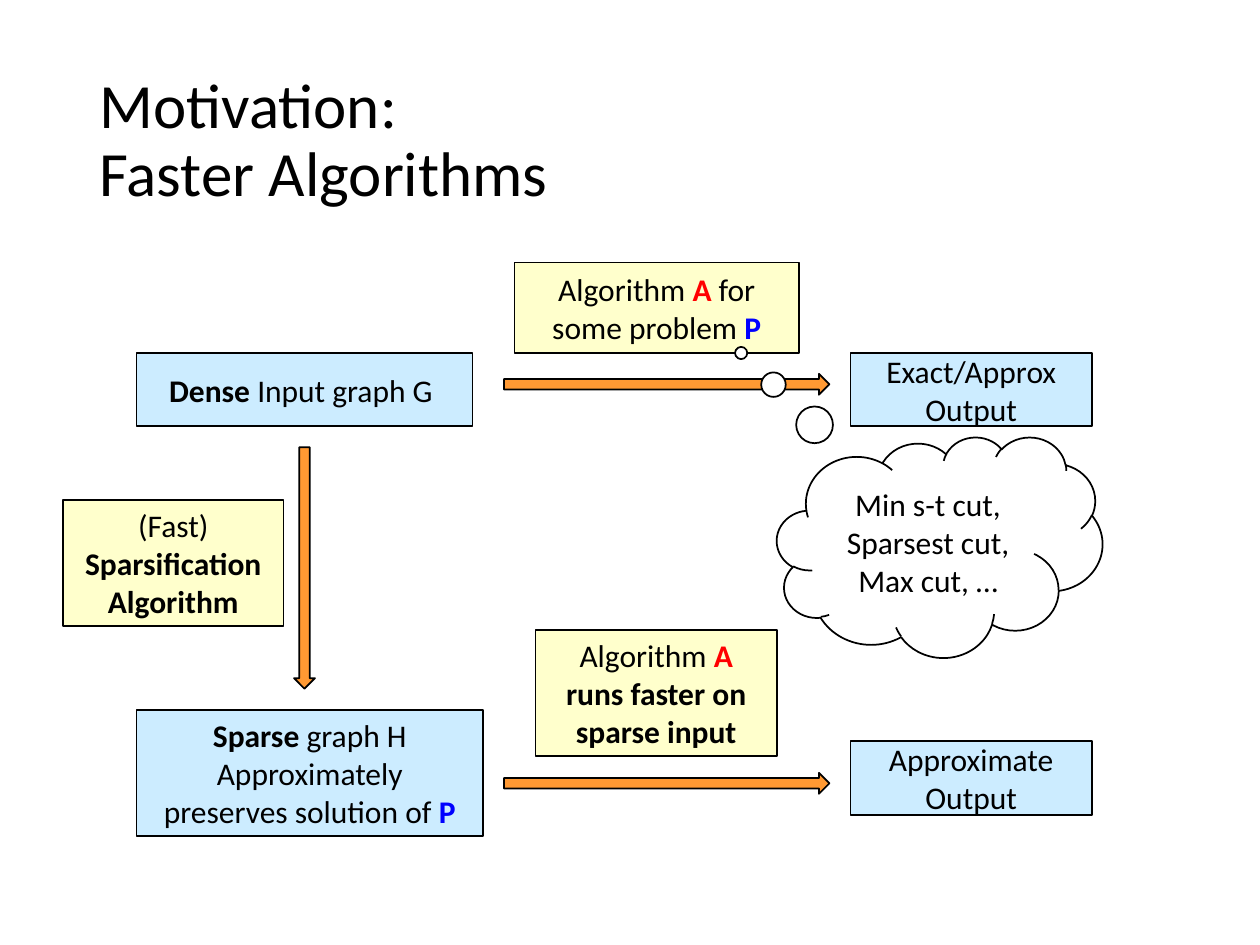
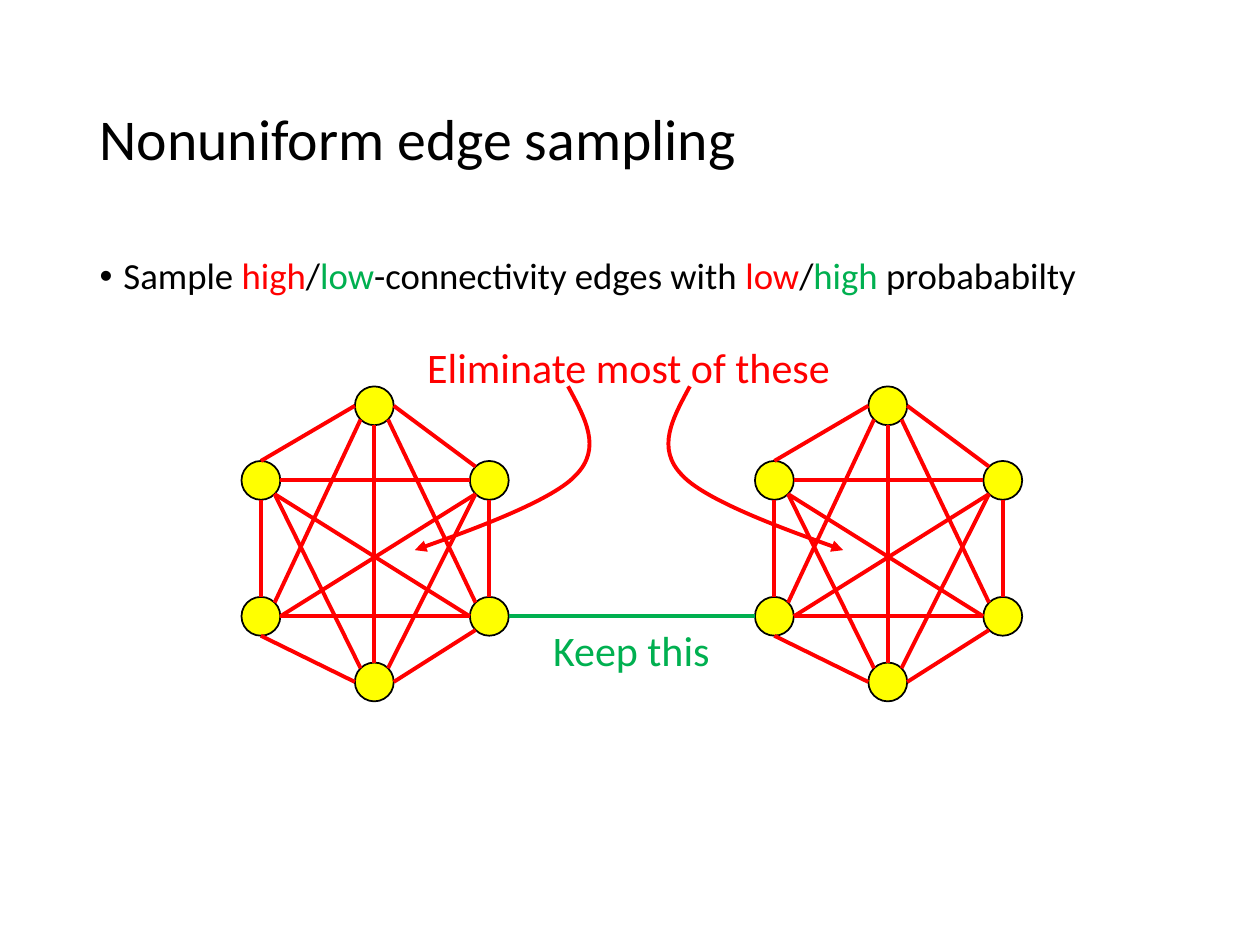
from math import cos, radians, sin

from lxml import etree
from pptx import Presentation
from pptx import util as u
from pptx.dml.color import RGBColor
from pptx.enum import shapes, text
from pptx.oxml.ns import qn

COLS, ROWS = 120, 90
CELL = u.Inches(10) / COLS
FONT = "Calibri"
BLACK, WHITE, RED, BLUE, GREEN = "000000", "FFFFFF", "FF0000", "0000FF", "00B050"
SKY, CREAM, ORANGE, YELLOW = "CCECFF", "FFFFCC", "FF9933", "FFFF00"
BREAK = ("\v", BLACK, False)
SHAPE = shapes.MSO_SHAPE
MIDDLE = text.MSO_ANCHOR.MIDDLE
CENTER = text.PP_ALIGN.CENTER

SITES = {name: 45 * i for i, name in enumerate("E SE S SW W NW N NE".split())}
NODE = 3.7
NODES = {
    "upper left": (1.85, 8.95), "top": (12.65, 1.85), "upper right": (23.6, 8.95),
    "lower left": (1.85, 21.9), "lower right": (23.6, 21.9), "bottom": (12.65, 28.15),
}
EDGES = [
    ("top", "S", "bottom", "N"),
    ("top", "E", "upper right", "NW"),
    ("upper right", "S", "lower right", "N"),
    ("lower right", "SW", "bottom", "E"),
    ("bottom", "W", "lower left", "S"),
    ("lower left", "N", "upper left", "S"),
    ("upper left", "N", "top", "W"),
    ("top", "SW", "lower left", "NE"),
    ("top", "SE", "lower right", "NW"),
    ("upper right", "W", "upper left", "E"),
    ("upper right", "SW", "lower left", "E"),
    ("lower left", "E", "lower right", "W"),
    ("lower right", "W", "upper left", "SE"),
    ("upper right", "SW", "bottom", "NE"),
    ("bottom", "NW", "upper left", "SE"),
]


def rgb(value):
    return RGBColor.from_string(value)


def cells(*values):
    return [round(v * CELL) for v in values]


def plain(value):
    return (value, BLACK, False)


def bold(value, color=BLACK):
    return (value, color, True)


def write(tf, paragraphs, size, align=None, spacing=None):
    for i, pieces in enumerate(paragraphs):
        p = tf.paragraphs[0] if i == 0 else tf.add_paragraph()
        p.alignment = align
        p.line_spacing = spacing
        for value, color, is_bold in pieces:
            if value == "\v":
                p.add_line_break()
                continue
            r = p.add_run()
            r.text = value
            r.font.name, r.font.size, r.font.bold = FONT, u.Pt(size), is_bold
            r.font.color.rgb = rgb(color)


def add_text(s, box, paragraphs, size, wrap=True, spacing=None, anchor=None):
    tf = s.shapes.add_textbox(*cells(*box)).text_frame
    tf.word_wrap = wrap
    tf.vertical_anchor = anchor
    write(tf, paragraphs, size, spacing=spacing)
    return tf


def add_title(s, pieces, size):
    add_text(s, (8.3, 4.8, 103.4, 17.4), [pieces], size, spacing=0.9, anchor=MIDDLE)


def add_bullet(s, pieces):
    tf = add_text(s, (8.3, 24, 103.4, 57.1), [pieces], 21, spacing=0.9)
    p = tf.paragraphs[0]
    p.space_before = u.Pt(7.5)
    pr = p._p.get_or_add_pPr()
    pr.set("marL", str(u.Inches(0.19)))
    pr.set("indent", str(-u.Inches(0.19)))
    etree.SubElement(pr, qn("a:buFont")).set("typeface", "Arial")
    etree.SubElement(pr, qn("a:buChar")).set("char", "•")


def add_shape(s, kind, box, fill, paragraphs=()):
    sp = s.shapes.add_shape(kind, *cells(*box))
    sp.shadow.inherit = False
    sp.fill.solid()
    sp.fill.fore_color.rgb = rgb(fill)
    sp.line.color.rgb = rgb(BLACK)
    sp.line.width = u.Pt(1)
    sp.text_frame.vertical_anchor = MIDDLE
    write(sp.text_frame, paragraphs, 18, CENTER)
    return sp


def add_edge(s, start, end, color):
    cx = s.shapes.add_connector(shapes.MSO_CONNECTOR.STRAIGHT, *cells(*start, *end))
    cx.line.color.rgb = rgb(color)
    cx.line.width = u.Pt(2.25)
    etree.SubElement(cx._element.spPr, qn("a:effectLst"))


def add_curved_arrow(s, axis, top, side):
    offsets = [(5.8, 0), (4.2, 3), (2.5, 5.9), (5.1, 8.5), (7.5, 11.1), (20.4, 15.6), (20.4, 15.6)]
    points = [cells(axis + side * x, top + y) for x, y in offsets]
    builder = s.shapes.build_freeform(*points[0])
    builder.add_line_segments(points[1:], close=False)
    sp = builder.convert_to_shape()
    segments = list(sp._element.iter(qn("a:lnTo")))
    for i in range(0, len(segments), 3):
        bezier = etree.Element(qn("a:cubicBezTo"))
        segments[i].addprevious(bezier)
        for segment in segments[i:i + 3]:
            bezier.append(segment[0])
            segment.getparent().remove(segment)
    sp.shadow.inherit = False
    sp.fill.background()
    sp.line.color.rgb = rgb(RED)
    sp.line.width = u.Pt(2.25)
    etree.SubElement(sp.line._get_or_add_ln(), qn("a:tailEnd")).set("type", "triangle")


def site(box, node, name):
    x, y = NODES[node]
    angle = radians(SITES[name])
    return box[0] + x + NODE / 2 * cos(angle), box[1] + y + NODE / 2 * sin(angle)


def add_complete_graph(s, box):
    for x, y in NODES.values():
        corner = (box[0] + x - NODE / 2, box[1] + y - NODE / 2)
        add_shape(s, SHAPE.OVAL, (*corner, NODE, NODE), YELLOW)
    for a, a_site, b, b_site in EDGES:
        add_edge(s, site(box, a, a_site), site(box, b, b_site), RED)


def motivation_slide(s):
    add_title(s, [plain("Motivation:"), BREAK, plain("Faster Algorithms")], 36)
    a, problem = bold("A", RED), bold("P", BLUE)
    boxes = [
        ((13, 33.6, 32, 7), SKY, [[bold("Dense "), plain("Input graph G ")]]),
        ((81, 33.6, 23, 7), SKY, [[plain("Exact/Approx Output")]]),
        ((49, 25, 27.1, 8.6), CREAM,
         [[plain("Algorithm "), a, plain(" for some problem "), problem]]),
        ((13, 67.6, 33, 12), SKY,
         [[bold("Sparse"), plain(" graph H")],
          [plain("Approximately"), BREAK, plain("preserves solution of "), problem]]),
        ((51, 60, 23, 12), CREAM,
         [[plain("Algorithm "), a, BREAK, bold("runs faster on sparse input")]]),
        ((81, 70.6, 23, 7), SKY, [[plain("Approximate Output")]]),
        ((6, 47.6, 21, 12), CREAM,
         [[plain("(Fast) "), bold("Sparsification Algorithm")]]),
    ]
    for box, fill, paragraphs in boxes:
        add_shape(s, SHAPE.RECTANGLE, box, fill, paragraphs)
    for y in (35.6, 73.6):
        add_shape(s, SHAPE.RIGHT_ARROW, (48, y, 31, 2), ORANGE)
    add_shape(s, SHAPE.DOWN_ARROW, (28, 42.6, 2, 23), ORANGE)
    cloud = add_shape(s, SHAPE.CLOUD_CALLOUT, (74, 41.6, 31, 21), WHITE,
                      [[plain("Min s-t cut, Sparsest cut,"), BREAK, plain("Max cut, …")]])
    cloud.adjustments[0], cloud.adjustments[1] = -0.61, -0.88


def sampling_slide(s):
    add_title(s, [plain("Nonuniform edge sampling")], 33)
    add_bullet(s, [
        plain("Sample "), ("high", RED, False), plain("/"), ("low", GREEN, False),
        plain("-connectivity edges with "), ("low", RED, False), plain("/"),
        ("high ", GREEN, False), plain("probababilty"),
    ])
    left, right = (23, 36.8), (71.9, 36.8)
    for box in (left, right):
        add_complete_graph(s, box)
    add_edge(s, site(left, "lower right", "E"), site(right, "lower left", "W"), GREEN)
    add_text(s, (51.5, 58.9, 17.5, 6), [[("Keep this", GREEN, False)]], 24, wrap=False)
    add_text(s, (39.5, 31.9, 41.2, 6), [[("Eliminate most of these", RED, False)]], 24, wrap=False)
    for side in (1, -1):
        add_curved_arrow(s, 59.9, 36.8, side)


def main():
    prs = Presentation()
    prs.slide_width, prs.slide_height = cells(COLS, ROWS)
    for build in (motivation_slide, sampling_slide):
        build(prs.slides.add_slide(prs.slide_layouts[6]))
    prs.save("out.pptx")


if __name__ == "__main__":
    main()
